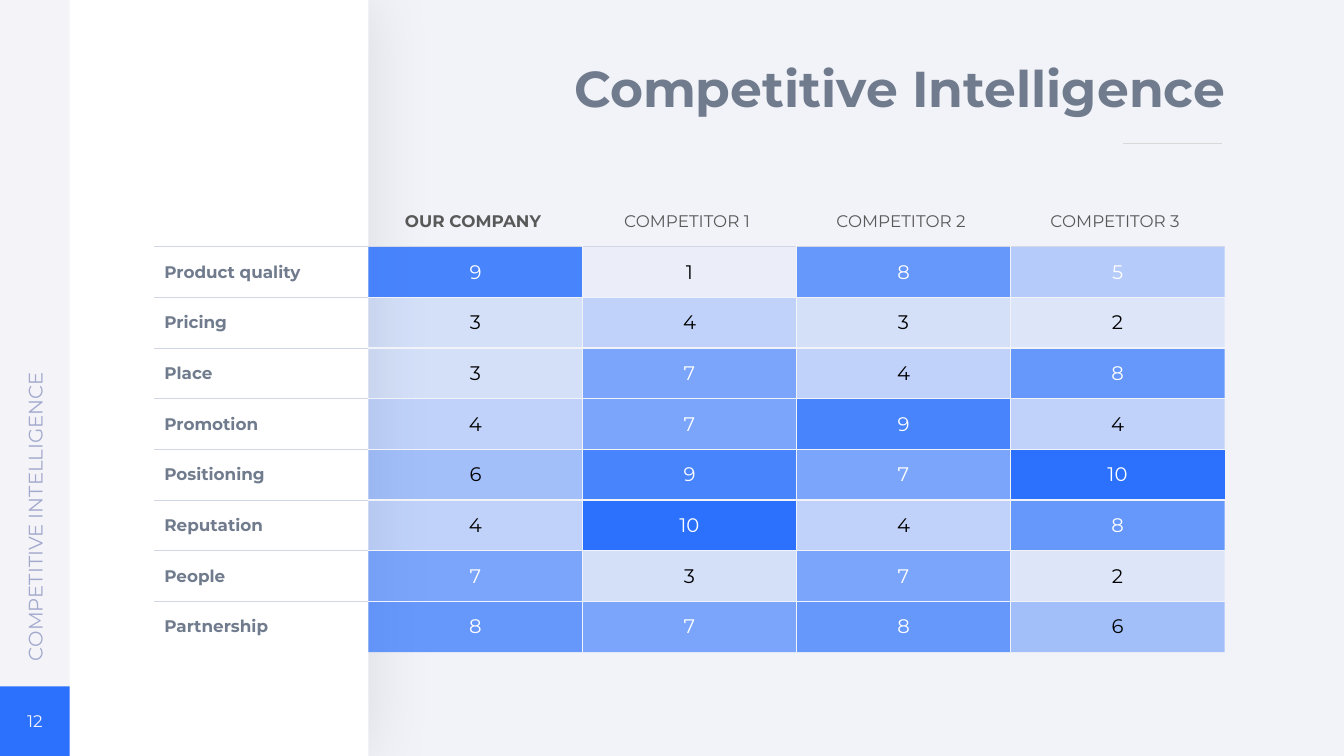
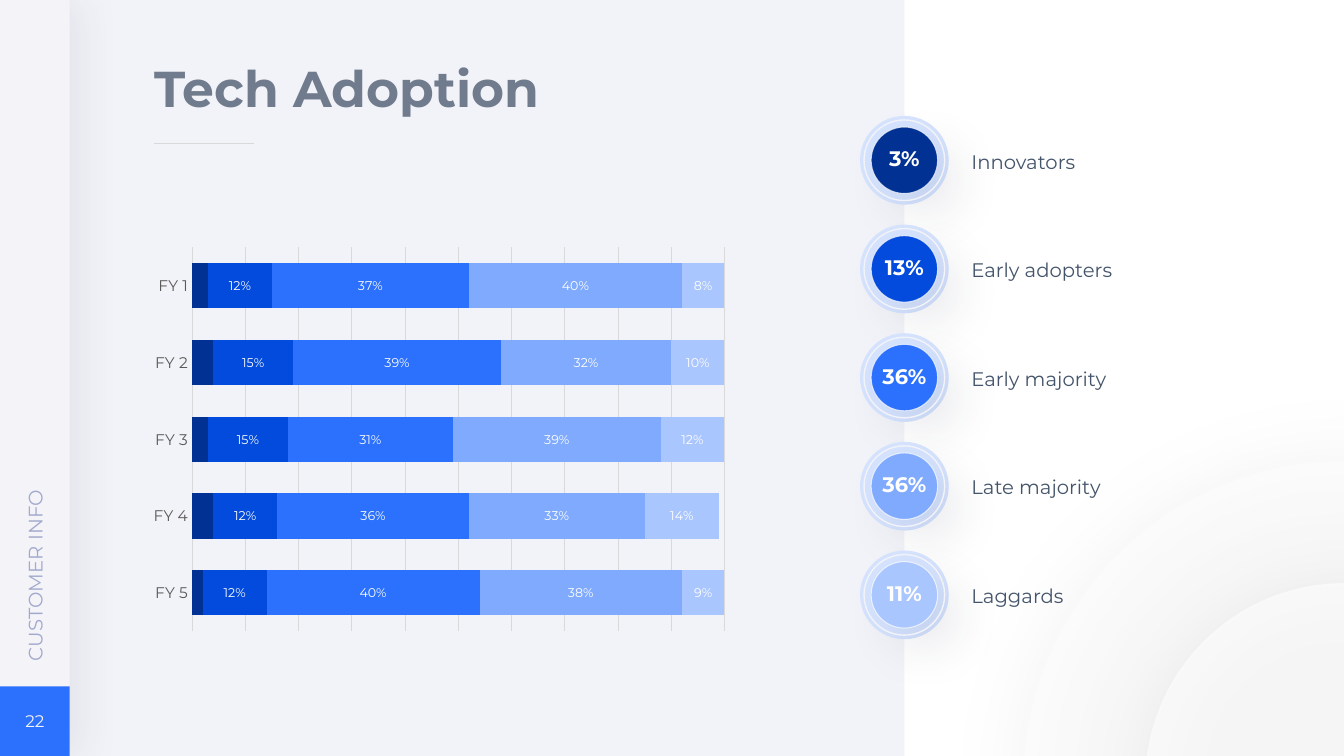
"""Builds two slides: a competitor heat table and a technology adoption chart."""
from lxml import etree
from pptx import Presentation
from pptx.chart.data import CategoryChartData
from pptx.dml.color import RGBColor
from pptx.enum.chart import XL_CHART_TYPE, XL_LABEL_POSITION, XL_TICK_MARK
from pptx.enum.shapes import MSO_CONNECTOR, MSO_SHAPE
from pptx.enum.text import MSO_ANCHOR, MSO_AUTO_SIZE, PP_ALIGN
from pptx.oxml.ns import qn
from pptx.util import Pt

RECT, OVAL, STRAIGHT = MSO_SHAPE.RECTANGLE, MSO_SHAPE.OVAL, MSO_CONNECTOR.STRAIGHT
LEFT, CENTER, RIGHT = PP_ALIGN.LEFT, PP_ALIGN.CENTER, PP_ALIGN.RIGHT
TOP, MIDDLE = MSO_ANCHOR.TOP, MSO_ANCHOR.MIDDLE
STACKED_BARS, NO_TICK = XL_CHART_TYPE.BAR_STACKED, XL_TICK_MARK.NONE
LABEL_CENTER = XL_LABEL_POSITION.CENTER

WIDTH, HEIGHT = 960, 540
SIDEBAR = 49.8
MARGIN = 110.2
ROW_HEIGHT, COLUMN_WIDTH, TABLE_TOP = 36.2, 152.9, 140
FONT = "Montserrat"
PAPER, WHITE, BLACK, BLUE = "F2F3F8", "FFFFFF", "000000", "2B71FD"
SLATE, GREY, RULE, GRID = "707C8D", "595959", "D2D6E7", "D9D9D9"
INK = "2B3150"
SHADES = ["013293", "024BDC", BLUE, "80AAFE", "AAC6FE"]
THIN_EDGE, GAP_EDGE = (RULE, 0.5), (PAPER, 1)

TITLE_FORMAT = {"size": 36, "bold": True, "color": SLATE}
NUMBER_FORMAT = {"size": 12, "color": PAPER}
SECTION_FORMAT = {"size": 14, "color": "A2A9CD"}
ROW_FORMAT = {"size": 12, "bold": True, "color": SLATE}
BADGE_FORMAT = {"size": 15, "bold": True, "color": WHITE}
LEGEND_FORMAT = {"size": 14, "color": "44546A"}

COMPANIES = ["OUR COMPANY", "COMPETITOR 1", "COMPETITOR 2", "COMPETITOR 3"]
SCORES = {
    "Product quality": (9, 1, 8, 5),
    "Pricing": (3, 4, 3, 2),
    "Place": (3, 7, 4, 8),
    "Promotion": (4, 7, 9, 4),
    "Positioning": (6, 9, 7, 10),
    "Reputation": (4, 10, 4, 8),
    "People": (7, 3, 7, 2),
    "Partnership": (8, 7, 8, 6),
}
SCORE_OPACITY = {1: 3, 2: 10, 3: 15, 4: 25, 5: 30, 6: 40, 7: 60, 8: 70, 9: 85, 10: 100}
WHITE_SCORES = {5, 7, 8, 9, 10}

YEARS = ["FY 5", "FY 4", "FY 3", "FY 2", "FY 1"]
SHARES = [
    (0.02, 0.04, 0.03, 0.04, 0.03),
    (0.12, 0.12, 0.15, 0.15, 0.12),
    (0.4, 0.36, 0.31, 0.39, 0.37),
    (0.38, 0.33, 0.39, 0.32, 0.4),
    (0.09, 0.14, 0.12, 0.1, 0.08),
]
ADOPTERS = [
    ("3%", "Innovators"),
    ("13%", "Early adopters"),
    ("36%", "Early majority"),
    ("36%", "Late majority"),
    ("11%", "Laggards"),
]


def rgb(value):
    return RGBColor.from_string(value)


def paint(fill, color, opacity=100):
    fill.solid()
    fill.fore_color.rgb = rgb(color)
    if opacity < 100:
        node = fill._xPr.find(qn("a:solidFill")).find(qn("a:srgbClr"))
        etree.SubElement(node, qn("a:alpha"), val=str(opacity * 1000))


def style(font, size, color, **formats):
    values = {"name": FONT, "size": Pt(size), "bold": False, **formats}
    for name, value in values.items():
        setattr(font, name, value)
    font.color.rgb = rgb(color)


def write(frame, text, formats, align=LEFT, anchor=MIDDLE, spacing=None, inset=3.6):
    values = {"word_wrap": True, "auto_size": MSO_AUTO_SIZE.NONE, "vertical_anchor": anchor,
              "margin_left": 0, "margin_right": 0,
              "margin_top": Pt(inset), "margin_bottom": Pt(inset)}
    for name, value in values.items():
        setattr(frame, name, value)
    para = frame.paragraphs[0]
    para.alignment = align
    para.line_spacing = spacing
    span = para.add_run()
    span.text = text
    style(span.font, **formats)


def add_text(shapes, area, text, formats, **layout):
    box = shapes.add_textbox(*map(Pt, area))
    write(box.text_frame, text, formats, **layout)
    return box


def add_figure(shapes, kind, area, color=None, opacity=100, outline=None, shadow=None):
    figure = shapes.add_shape(kind, *map(Pt, area))
    if color:
        paint(figure.fill, color, opacity)
    else:
        figure.fill.background()
    if outline:
        line_color, width, line_opacity = outline
        figure.line.width = Pt(width)
        paint(figure.line.fill, line_color, line_opacity)
    else:
        figure.line.fill.background()
    figure.shadow.inherit = False
    if shadow:
        shade, strength, blur, distance, angle = shadow
        effects = figure._element.spPr.find(qn("a:effectLst"))
        outer = etree.SubElement(effects, qn("a:outerShdw"), blurRad=str(Pt(blur)),
                                 dist=str(Pt(distance)), dir=str(angle * 60000),
                                 algn="ctr", rotWithShape="0")
        node = etree.SubElement(outer, qn("a:srgbClr"), val=shade)
        etree.SubElement(node, qn("a:alpha"), val=str(strength * 1000))


def add_circle(shapes, x, y, diameter, **look):
    area = (x - diameter / 2, y - diameter / 2, diameter, diameter)
    add_figure(shapes, OVAL, area, **look)


def add_page(deck):
    page = deck.slides.add_slide(deck.slide_layouts[5])
    paint(page.background.fill, PAPER)
    return page


def add_title(page, text, area, align, rule_left):
    title = page.shapes.title
    title.left, title.top, title.width, title.height = map(Pt, area)
    write(title.text_frame, text, TITLE_FORMAT, align=align, anchor=TOP, spacing=0.9)
    rule = page.shapes.add_connector(
        STRAIGHT, *map(Pt, (rule_left, 102.6, rule_left + 71, 102.6)))
    rule.line.width = Pt(0.5)
    rule.line.color.rgb = rgb(GRID)
    etree.SubElement(rule._element.spPr, qn("a:effectLst"))


def add_sidebar(page, number, section, shadow=None):
    shapes = page.shapes
    add_figure(shapes, RECT, (0, 0, SIDEBAR, HEIGHT), "F3F3F8", shadow=shadow)
    add_figure(shapes, RECT, (0, HEIGHT - SIDEBAR, SIDEBAR, SIDEBAR), BLUE)
    add_text(shapes, (7, 503, 36, 24), number, NUMBER_FORMAT, align=CENTER, inset=0)
    box = add_text(shapes, (-112, 320.7, 273.6, 29.6), section, SECTION_FORMAT)
    box.rotation = 270


def set_borders(cell, **edges):
    properties = cell._tc.get_or_add_tcPr()
    for side, edge in edges.items():
        line = etree.SubElement(properties, qn(f"a:ln{side}"))
        if edge:
            color, width = edge
            line.set("w", str(Pt(width)))
            solid = etree.SubElement(line, qn("a:solidFill"))
            etree.SubElement(solid, qn("a:srgbClr"), val=color)
        else:
            line.set("w", "0")
            etree.SubElement(line, qn("a:noFill"))


def add_grid(page, left, top, rows, levels, uprights, format_cell, align=CENTER):
    columns = len(rows[0])
    area = (left, top, COLUMN_WIDTH * columns, ROW_HEIGHT * len(rows))
    table = page.shapes.add_table(len(rows), columns, *map(Pt, area)).table
    table.first_row = table.horz_banding = False
    for column in table.columns:
        column.width = Pt(COLUMN_WIDTH)
    for r, row in enumerate(rows):
        table.rows[r].height = Pt(ROW_HEIGHT)
        for c, value in enumerate(row):
            cell = table.cell(r, c)
            cell.vertical_anchor = MIDDLE
            set_borders(cell, L=uprights[c], R=uprights[c + 1], T=levels[r], B=levels[r + 1])
            formats, opacity = format_cell(value, c)
            if opacity:
                paint(cell.fill, BLUE, opacity)
            else:
                cell.fill.background()
            para = cell.text_frame.paragraphs[0]
            para.alignment = align
            if value:
                span = para.add_run()
                span.text = str(value)
                style(span.font, **formats)


def format_company(value, column):
    return {"size": 12, "bold": column == 0, "color": GREY}, None


def format_score(value, column):
    color = WHITE if value in WHITE_SCORES else BLACK
    return {"size": 14, "color": color}, SCORE_OPACITY[value]


def format_criterion(value, column):
    return ROW_FORMAT, None


def add_adoption_chart(page):
    data = CategoryChartData(number_format="0%")
    data.categories = YEARS
    for index, values in enumerate(SHARES, 1):
        data.add_series(f"Series {index}", values)
    area = (101.2, 170.9, 424.8, 285.8)
    chart = page.shapes.add_chart(STACKED_BARS, *map(Pt, area), data).chart
    chart.has_legend = chart.has_title = False
    style(chart.font, 10, BLACK, name="Calibri")

    years = chart.category_axis
    years.major_tick_mark = years.minor_tick_mark = NO_TICK
    style(years.tick_labels.font, 11, GREY)
    shares = chart.value_axis
    shares.visible = False
    shares.minimum_scale, shares.maximum_scale, shares.major_unit = 0, 1, 0.1
    shares.has_major_gridlines = True
    for line, width in ((years.format.line, 0.75), (shares.major_gridlines.format.line, 0.5)):
        line.width = Pt(width)
        line.color.rgb = rgb(GRID)

    plot = chart.plots[0]
    plot.gap_width, plot.overlap, plot.vary_by_categories = 70, 100, False
    for index, (series, shade) in enumerate(zip(plot.series, SHADES)):
        paint(series.format.fill, shade)
        if index:
            labels = series.data_labels
            values = {"show_value": True, "position": LABEL_CENTER,
                      "number_format": "0%", "number_format_is_linked": False}
            for name, value in values.items():
                setattr(labels, name, value)
            style(labels.font, 9, WHITE)


def add_badge(page, x, y, share, label, shade):
    shapes = page.shapes.add_group_shape().shapes
    add_circle(shapes, x, y, 63.4, color="D5E3FF")
    add_circle(shapes, x, y, 47.5, color=shade, outline=(WHITE, 0, 70),
               shadow=(INK, 10, 35, 20, 45))
    add_text(shapes, (x - 25.2, y - 18.9, 50.4, 37.4), share, BADGE_FORMAT,
             align=CENTER, spacing=0.9)
    add_circle(shapes, x, y, 57.6, outline=(PAPER, 1, 100))
    add_text(page.shapes, (x + 47.9, y - 18.7, 177, 35.3), label, LEGEND_FORMAT, spacing=1.2)


def build_competitors(deck):
    page = add_page(deck)
    panel_width, count = 263.2, len(SCORES)
    gaps = [GAP_EDGE] * (count - 1)
    uprights = [None, *[GAP_EDGE] * (len(COMPANIES) - 1), None]
    blank_rows = [[""] * len(COMPANIES)] * count
    add_grid(page, 261.4, TABLE_TOP, [COMPANIES, *blank_rows],
             [None, THIN_EDGE, *gaps, None], uprights, format_company)
    add_figure(page.shapes, RECT, (0, 0, panel_width, HEIGHT), WHITE,
               shadow=(BLACK, 10, 50, 0, 0))
    add_grid(page, panel_width, TABLE_TOP + ROW_HEIGHT, list(SCORES.values()),
             [THIN_EDGE, *gaps, None], uprights, format_score)
    add_sidebar(page, "12", "COMPETITIVE INTELLIGENCE")
    add_title(page, "Competitive Intelligence", (MARGIN, 41.8, 765, 59.8), RIGHT, 802)
    add_grid(page, MARGIN, TABLE_TOP, [("",), *((name,) for name in SCORES)],
             [None, *[THIN_EDGE] * count, None], [None, None], format_criterion, LEFT)


def build_adoption(deck):
    page = add_page(deck)
    panel_left = 646
    add_figure(page.shapes, RECT, (panel_left, 0, WIDTH - panel_left, HEIGHT), WHITE)
    for diameter, opacity in ((458.6, 52), (284.4, 59)):
        add_circle(page.shapes, 960.2, 558.7, diameter, color=WHITE, opacity=opacity,
                   shadow=(BLACK, 10, 60, 0, 0))
    add_sidebar(page, "22", "CUSTOMER INFO", shadow=(INK, 7, 30, 7, 0))
    add_adoption_chart(page)
    add_title(page, "Tech Adoption", (MARGIN, 41.8, 356.4, 59.8), LEFT, MARGIN)
    for index, ((share, label), shade) in enumerate(zip(ADOPTERS, SHADES)):
        add_badge(page, panel_left, 114.5 + 77.6 * index, share, label, shade)


def main():
    deck = Presentation()
    deck.slide_width, deck.slide_height = Pt(WIDTH), Pt(HEIGHT)
    build_competitors(deck)
    build_adoption(deck)
    deck.save("out.pptx")


if __name__ == "__main__":
    main()
